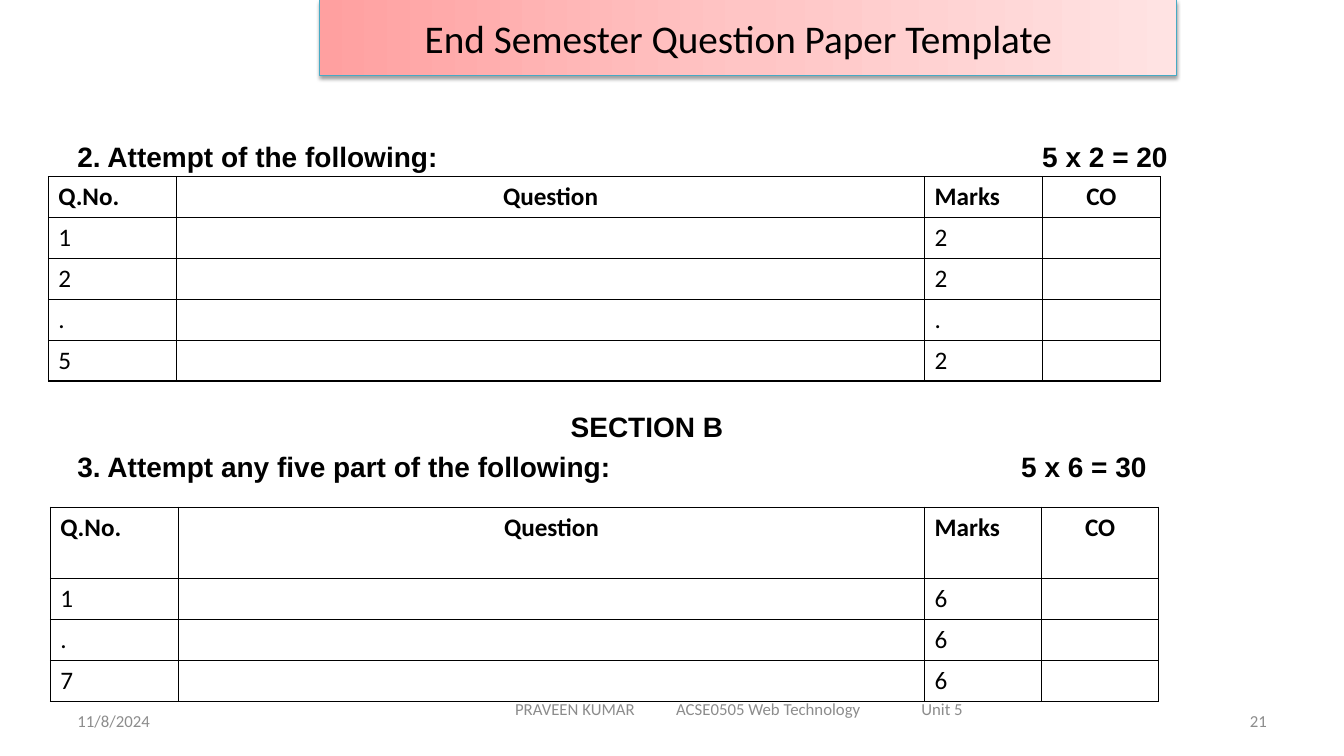
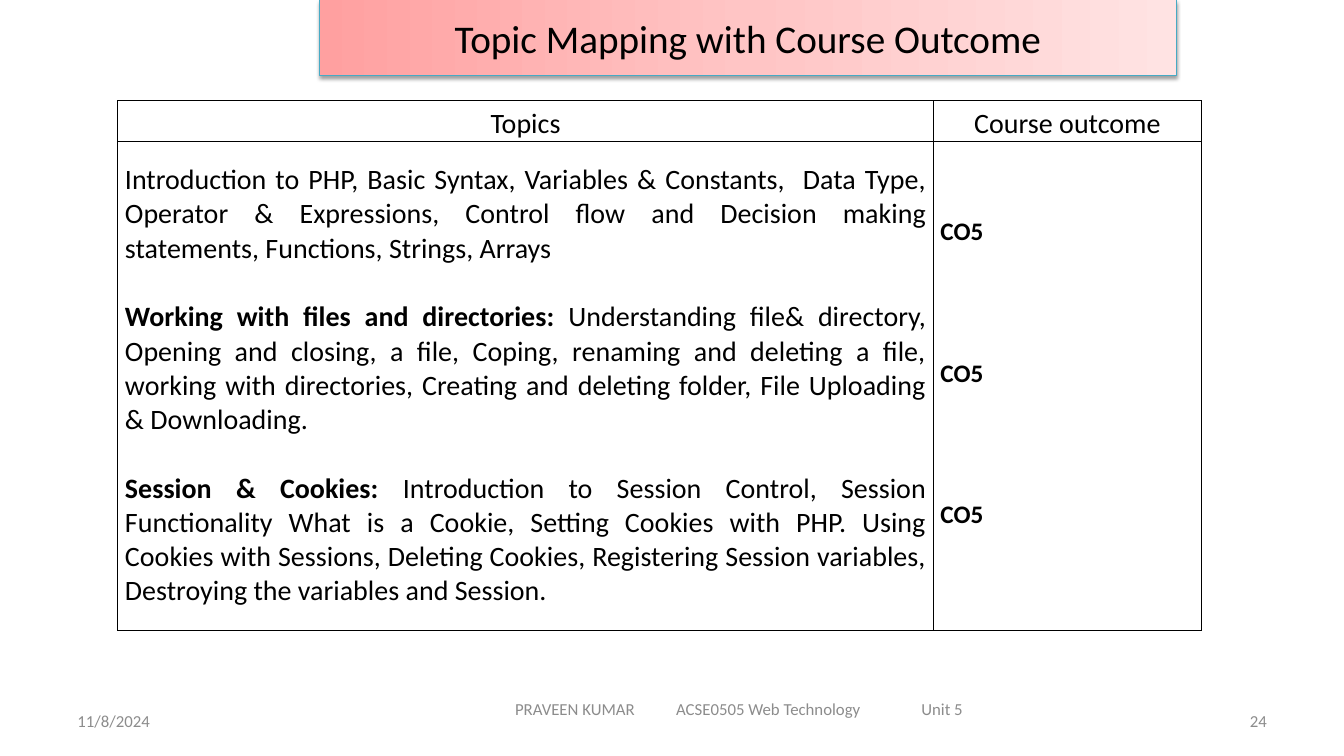
from copy import deepcopy
from dataclasses import dataclass

from lxml import etree
from pptx import Presentation
from pptx import util as u
from pptx.dml.color import RGBColor
from pptx.enum import shapes, text
from pptx.oxml import ns

BLACK, GREY, WHITE = "000000", "8C8C8C", "FFFFFF"
BANNER_LINE = "46AAC5"
BANNER_STOPS = ((0, "FFA0A0"), (0.5, "FFC5C5"), (1, "FFE3E3"))
BODY_FONT, HEADING_FONT = "Calibri", "Arial"
LEFT, CENTER, RIGHT, JUSTIFY = (
    text.PP_ALIGN.LEFT,
    text.PP_ALIGN.CENTER,
    text.PP_ALIGN.RIGHT,
    text.PP_ALIGN.JUSTIFY,
)
MARGIN = 1.7
DATE = "11/8/2024"
COURSE = "PRAVEEN KUMAR\tACSE0505 Web Technology\tUnit 5"


@dataclass
class Style:
    size: float
    font: str = BODY_FONT
    colour: str = BLACK
    bold: bool = False
    align: text.PP_ALIGN = LEFT


@dataclass
class Line:
    words: str
    align: text.PP_ALIGN = LEFT
    tabs: tuple[tuple[float, str], ...] = ()


@dataclass
class Box:
    left: float
    top: float
    width: float
    height: float


@dataclass
class MarksGrid:
    left: float
    top: float
    widths: tuple[float, ...]
    header_height: float
    rows: tuple[tuple[str, str], ...]


@dataclass
class Topic:
    lead: str
    detail: str
    outcome: str = "CO5"


FOOTER = Style(12, colour=GREY)
HEADING = Style(20, font=HEADING_FONT, bold=True)
ROW_HEIGHT = 1.03

GRIDS = (
    MarksGrid(1.22, 4.45, (3.23, 18.85, 2.97, 2.97), ROW_HEIGHT,
              (("1", "2"), ("2", "2"), (".", "."), ("5", "2"))),
    MarksGrid(1.27, 12.78, (3.23, 18.8, 2.95, 2.95), 1.8,
              (("1", "6"), (".", "6"), ("7", "6"))),
)

TOPICS = (
    Topic("", "Introduction to PHP, Basic Syntax, Variables & Constants,  Data Type, "
          "Operator & Expressions, Control flow and Decision making statements, "
          "Functions, Strings, Arrays"),
    Topic("Working with files and directories: ",
          "Understanding file& directory, Opening and closing, a file, Coping, renaming "
          "and deleting a file, working with directories, Creating and deleting folder, "
          "File Uploading & Downloading."),
    Topic("Session & Cookies: ",
          "Introduction to Session Control, Session Functionality What is a Cookie, "
          "Setting Cookies with PHP. Using Cookies with Sessions, Deleting Cookies, "
          "Registering Session variables, Destroying the variables and Session."),
)


def rgb(colour: str) -> RGBColor:
    return RGBColor.from_string(colour)


def add_xml(parent, tag: str, **attributes):
    return etree.SubElement(parent, ns.qn(tag), attributes)


def apply_style(para, style: Style) -> None:
    para.alignment = style.align
    para.font.name = style.font
    para.font.size = u.Pt(style.size)
    para.font.bold = style.bold
    para.font.color.rgb = rgb(style.colour)


def add_tabs(para, tabs: tuple[tuple[float, str], ...]) -> None:
    tab_list = add_xml(para._p.get_or_add_pPr(), "a:tabLst")
    for position, kind in tabs:
        add_xml(tab_list, "a:tab", pos=str(u.Cm(position)), algn=kind)


def paragraph_at(frame, index: int):
    return frame.add_paragraph() if index else frame.paragraphs[0]


def add_text(page, box: Box, lines: tuple[Line, ...], style: Style,
             anchor=text.MSO_ANCHOR.TOP, gap: float = 0) -> None:
    frame = page.shapes.add_textbox(
        u.Cm(box.left), u.Cm(box.top), u.Cm(box.width), u.Cm(box.height)).text_frame
    frame.word_wrap = True
    frame.vertical_anchor = anchor
    for index, line in enumerate(lines):
        para = paragraph_at(frame, index)
        para.text = line.words
        if line.tabs:
            add_tabs(para, line.tabs)
        apply_style(para, style)
        para.alignment = line.align
        if index and gap:
            para.space_before = u.Pt(gap)


def add_banner(page, title: str, right_inset: float) -> None:
    banner = page.shapes.add_shape(
        shapes.MSO_SHAPE.RECTANGLE, u.Cm(8.05), 0, u.Cm(21.59), u.Cm(1.9))
    banner.fill.gradient()
    banner.fill.gradient_angle = 0
    stop_list = banner._element.spPr.find(ns.qn("a:gradFill")).find(ns.qn("a:gsLst"))
    stop_list.append(deepcopy(stop_list[0]))
    for stop, (position, colour) in zip(banner.fill.gradient_stops, BANNER_STOPS):
        stop.position = position
        stop.color.rgb = rgb(colour)
    banner.line.color.rgb = rgb(BANNER_LINE)
    banner.line.width = u.Pt(0.75)
    banner.shadow.inherit = False
    effects = banner._element.spPr.find(ns.qn("a:effectLst"))
    shadow = add_xml(effects, "a:outerShdw", blurRad=str(u.Pt(3.1)),
                     dist=str(u.Pt(1.6)), dir="5400000", rotWithShape="0")
    add_xml(add_xml(shadow, "a:srgbClr", val=BLACK), "a:alpha", val="38000")
    frame = banner.text_frame
    frame.word_wrap = True
    frame.vertical_anchor = text.MSO_ANCHOR.MIDDLE
    frame.margin_right = u.Cm(right_inset)
    frame.paragraphs[0].text = title
    apply_style(frame.paragraphs[0], Style(28, align=CENTER))


def add_footer(page, number: str) -> None:
    middle = text.MSO_ANCHOR.MIDDLE
    add_text(page, Box(MARGIN, 17.65, 7.9, 1.02), (Line(DATE),), FOOTER, middle)
    course = Line(COURSE, tabs=((4.06, "l"), (10.24, "l")))
    add_text(page, Box(12.73, 17.35, 12.4, 1.02), (course,), FOOTER, middle)
    add_text(page, Box(24.28, 17.65, 7.9, 1.02), (Line(number, RIGHT),), FOOTER, middle)


def add_page(deck, title: str, number: str, right_inset: float = 0.25):
    page = deck.slides.add_slide(deck.slide_layouts[6])
    add_footer(page, number)
    add_banner(page, title, right_inset)
    return page


def set_borders(cell) -> None:
    properties = cell._tc.get_or_add_tcPr()
    for index, side in enumerate(("a:lnL", "a:lnR", "a:lnT", "a:lnB")):
        border = etree.Element(ns.qn(side), w=str(u.Pt(1)))
        add_xml(add_xml(border, "a:solidFill"), "a:srgbClr", val=BLACK)
        properties.insert(index, border)


def add_grid(page, left: float, top: float, widths: tuple[float, ...],
             heights: tuple[float, ...]):
    table = page.shapes.add_table(
        len(heights), len(widths), u.Cm(left), u.Cm(top),
        u.Cm(sum(widths)), u.Cm(sum(heights))).table
    table.first_row = table.horz_banding = False
    for column, width in zip(table.columns, widths):
        column.width = u.Cm(width)
    for row, height in zip(table.rows, heights):
        row.height = u.Cm(height)
    for cell in table.iter_cells():
        cell.fill.solid()
        cell.fill.fore_color.rgb = rgb(WHITE)
        set_borders(cell)
    return table


def add_marks_grid(page, grid: MarksGrid) -> None:
    heights = (grid.header_height,) + (ROW_HEIGHT,) * len(grid.rows)
    table = add_grid(page, grid.left, grid.top, grid.widths, heights)
    rows = [("Q.No.", "Question", "Marks", "CO")]
    rows += [(number, "", marks, "") for number, marks in grid.rows]
    for row_index, row in enumerate(rows):
        for column_index, words in enumerate(row):
            para = table.cell(row_index, column_index).text_frame.paragraphs[0]
            para.text = words
            align = CENTER if column_index in (1, 3) else LEFT
            apply_style(para, Style(18, bold=row_index == 0, align=align))


def add_topics_grid(page) -> None:
    table = add_grid(page, 2.97, 2.54, (20.55, 6.76), (1.02, 12.32))
    for cell in table.iter_cells():
        cell.margin_left = cell.margin_right = u.Cm(0.18)
        cell.margin_top = cell.margin_bottom = 0
        cell.vertical_anchor = text.MSO_ANCHOR.MIDDLE
    for column, words in enumerate(("Topics", "Course outcome")):
        para = table.cell(0, column).text_frame.paragraphs[0]
        para.text = words
        para.line_spacing = 1.15
        apply_style(para, Style(20, align=CENTER))

    topics, outcomes = table.cell(1, 0), table.cell(1, 1)
    outcomes.vertical_anchor = text.MSO_ANCHOR.TOP
    outcomes.margin_top = u.Cm(1.78)
    for index, topic in enumerate(TOPICS):
        para = paragraph_at(topics.text_frame, index)
        apply_style(para, Style(20, align=JUSTIFY))
        for words, bold in ((topic.lead, True), (topic.detail, False)):
            if words:
                span = para.add_run()
                span.text = words
                span.font.bold = bold
        outcome = paragraph_at(outcomes.text_frame, index)
        outcome.text = topic.outcome
        outcome.line_spacing = 1.15
        apply_style(outcome, Style(18, bold=True))
        if index:
            para.space_before = u.Pt(24.4)
            outcome.space_before = u.Pt(75.8)


def main() -> None:
    deck = Presentation()
    deck.slide_width, deck.slide_height = u.Cm(33.87), u.Cm(19.05)

    paper = add_page(deck, "End Semester Question Paper Template", "21", 0.73)
    first = Line("2. Attempt of the following:\t5 x 2 = 20", tabs=((27.48, "r"),))
    add_text(paper, Box(MARGIN, 3.38, 29.21, 1), (first,), HEADING)
    section = (
        Line("SECTION B", CENTER),
        Line("3. Attempt any five part of the following:\t5 x 6 = 30", tabs=((26.95, "r"),)),
    )
    add_text(paper, Box(MARGIN, 10.2, 29.21, 2), section, HEADING, gap=4.7)
    for grid in GRIDS:
        add_marks_grid(paper, grid)

    mapping = add_page(deck, "Topic Mapping with Course Outcome", "24")
    add_topics_grid(mapping)
    deck.save("out.pptx")


if __name__ == "__main__":
    main()
